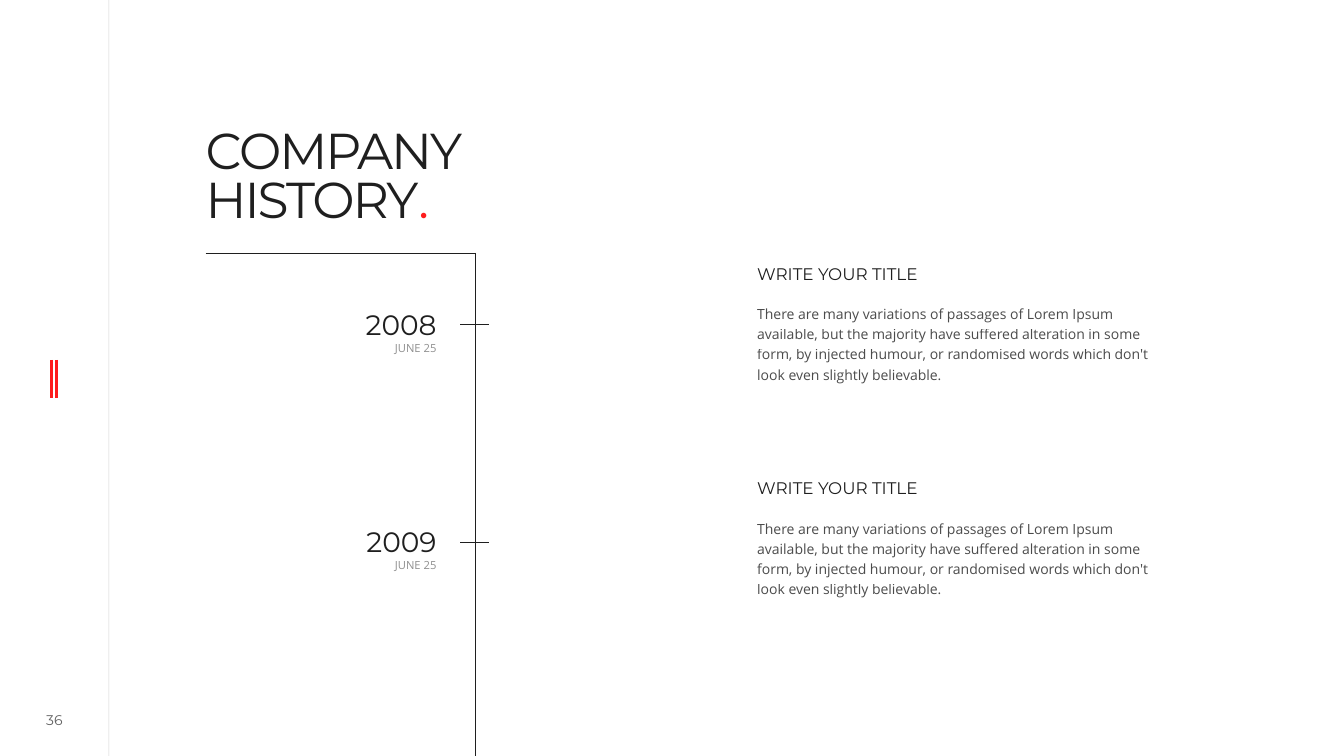
from lxml.etree import SubElement
from pptx import Presentation
from pptx.dml.color import RGBColor
from pptx.enum.shapes import MSO_CONNECTOR
from pptx.enum.text import MSO_ANCHOR, MSO_AUTO_SIZE, PP_ALIGN
from pptx.oxml.ns import qn
from pptx.util import Inches, Pt

TITLE = "COMPANY\vHISTORY"
PAGE_NUMBER = "36"
BODY = ("There are many variations of passages of Lorem Ipsum available, but the "
        "majority have suffered alteration in some form, by injected humour, or "
        "randomised words which don't look even slightly believable.")
EVENTS = [
    ("2008", "JUNE 25", "WRITE YOUR TITLE", BODY),
    ("2009", "JUNE 25", "WRITE YOUR TITLE", BODY),
]

INK, RED, GREY = "1F1F1F", "FE1C1D", "8F8F8F"
HEAD_FONT, BODY_FONT = "Montserrat", "Open Sans"
WIDTH, HEIGHT = 13.33, 7.5
SIDEBAR_X = 1.08
TITLE_X, AXIS_X, AXIS_TOP = 2.04, 4.71, 2.51
DATE_X, DATE_W = 2.61, 1.72
TEXT_X, TEXT_W = 7.51, 4.01
TICK_TOP, TICK_PITCH, TICK_HALF = 3.22, 2.16, 0.145
TEXT_TOP, TEXT_PITCH = 2.62, 2.13


def paint(color_format, color, opacity=100):
    color_format.rgb = RGBColor.from_string(color)
    if opacity < 100:
        fill = color_format._xFill
        alpha = SubElement(fill.find(qn("a:srgbClr")), qn("a:alpha"))
        alpha.set("val", str(opacity * 1000))


def add_line(x1, y1, x2, y2, color=INK, width=0.5, opacity=100):
    line = slide.shapes.add_connector(
        MSO_CONNECTOR.STRAIGHT, Inches(x1), Inches(y1), Inches(x2), Inches(y2))
    line.line.width = Pt(width)
    line.line.fill.solid()
    paint(line.line.fill.fore_color, color)
    if opacity < 100:
        rgb = line._element.spPr.find(".//" + qn("a:srgbClr"))
        SubElement(rgb, qn("a:alpha")).set("val", str(opacity * 1000))
    SubElement(line._element.spPr, qn("a:effectLst"))


def style_run(r, size, font, color, opacity=100, tracking=0):
    r.font.size = Pt(size)
    r.font.name = font
    r.font.fill.solid()
    r.font.fill.fore_color.rgb = RGBColor.from_string(color)
    rpr = r._r.get_or_add_rPr()
    if opacity < 100:
        rgb = rpr.find(".//" + qn("a:srgbClr"))
        SubElement(rgb, qn("a:alpha")).set("val", str(opacity * 1000))
    if tracking:
        rpr.set("spc", str(int(tracking * 100)))


def add_text(x, y, w, h, text, size, font=HEAD_FONT, color=INK, opacity=100,
             align=PP_ALIGN.LEFT, spacing=0.7, top=0.05, bottom=0.05,
             grow=True, tracking=0):
    """Add a one-paragraph text box and return it."""
    sp = slide.shapes.add_textbox(Inches(x), Inches(y), Inches(w), Inches(h))
    tf = sp.text_frame
    tf.word_wrap = True
    tf.auto_size = MSO_AUTO_SIZE.SHAPE_TO_FIT_TEXT if grow else MSO_AUTO_SIZE.NONE
    tf.margin_left = tf.margin_right = 0
    tf.margin_top, tf.margin_bottom = Inches(top), Inches(bottom)
    p = tf.paragraphs[0]
    p.text = text
    p.alignment = align
    p.line_spacing = spacing
    for r in p.runs:
        style_run(r, size, font, color, opacity, tracking)
    return sp


prs = Presentation()
prs.slide_width, prs.slide_height = Inches(WIDTH), Inches(HEIGHT)
slide = prs.slides.add_slide(prs.slide_layouts[6])

# Sidebar
add_line(SIDEBAR_X, 0, SIDEBAR_X, HEIGHT, opacity=20)
for bar_x in (0.51, 0.56):
    add_line(bar_x, 3.57, bar_x, 3.95, RED, 2)
number = add_text(0.26, 7.02, 0.56, 0.25, PAGE_NUMBER, 10, opacity=70,
                  align=PP_ALIGN.CENTER, spacing=1.0, top=0, bottom=0, grow=False)
number.text_frame.vertical_anchor = MSO_ANCHOR.MIDDLE

# Title and timeline axis
title = add_text(TITLE_X, 1.09, 4.62, 1.77, TITLE, 36, spacing=0.8,
                 top=0.21, bottom=0, grow=False, tracking=-1.5)
dot = title.text_frame.paragraphs[0].add_run()
dot.text = "."
style_run(dot, 36, HEAD_FONT, RED, tracking=-1.5)
add_line(TITLE_X, AXIS_TOP, AXIS_X, AXIS_TOP)
add_line(AXIS_X, AXIS_TOP, AXIS_X, HEIGHT)

# Events
for i, (year, day, heading, body) in enumerate(EVENTS):
    text_y = TEXT_TOP + i * TEXT_PITCH
    tick_y = TICK_TOP + i * TICK_PITCH
    add_text(TEXT_X, text_y, TEXT_W, 0.24, heading, 12)
    add_text(TEXT_X, text_y + 0.33, TEXT_W, 0.91, body, 10, BODY_FONT,
             opacity=80, spacing=1.2)
    add_text(DATE_X, tick_y - 0.13, DATE_W, 0.36, year, 20, align=PP_ALIGN.RIGHT)
    add_line(AXIS_X - TICK_HALF, tick_y, AXIS_X + TICK_HALF, tick_y)
    add_text(DATE_X, tick_y + 0.15, DATE_W, 0.2, day, 8, BODY_FONT, GREY,
             align=PP_ALIGN.RIGHT)

prs.save("out.pptx")
